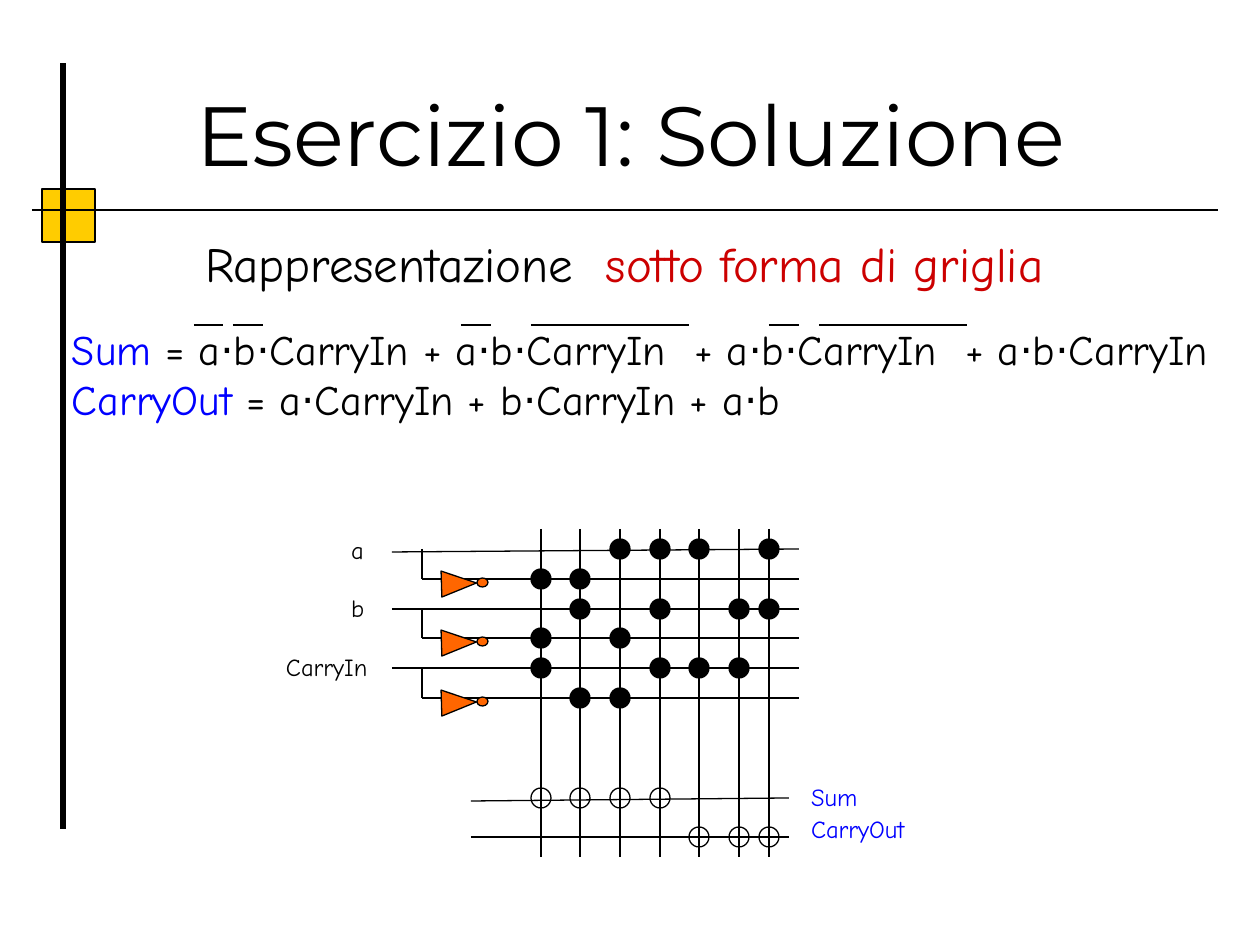
from pptx import Presentation
from pptx.dml.color import RGBColor
from pptx.enum.shapes import MSO_CONNECTOR as CONNECTOR, MSO_SHAPE as SHAPE
from pptx.enum.text import MSO_ANCHOR as ANCHOR, PP_ALIGN as ALIGN
from pptx.oxml.ns import qn
from pptx.util import Pt
from lxml.etree import SubElement

PX = 914400 / 126
BLACK = RGBColor(0x00, 0x00, 0x00)
BLUE = RGBColor(0x00, 0x00, 0xFF)
RED = RGBColor(0xCC, 0x00, 0x00)
ORANGE = RGBColor(0xFF, 0x66, 0x00)
YELLOW = RGBColor(0xFF, 0xCC, 0x00)

presentation = Presentation()
presentation.slide_width = round(1260 * PX)
presentation.slide_height = round(945 * PX)
slide = presentation.slides.add_slide(presentation.slide_layouts[6])


def add_shape(kind, box, fill=None, rotation=0):
    shape = slide.shapes.add_shape(kind, *[round(value * PX) for value in box])
    shape.shadow.inherit = False
    shape.rotation = rotation
    if fill is None:
        shape.fill.background()
    else:
        shape.fill.solid()
        shape.fill.fore_color.rgb = fill
    shape.line.color.rgb = BLACK
    shape.line.width = Pt(0.75)


def add_text(box, runs, size, font="Comic Neue", **paragraph_format):
    shape = slide.shapes.add_textbox(*[round(value * PX) for value in box])
    frame = shape.text_frame
    frame_format = {
        "word_wrap": True,
        "vertical_anchor": ANCHOR.BOTTOM if font == "Montserrat" else ANCHOR.TOP,
        "margin_left": 0, "margin_right": 0, "margin_top": 0, "margin_bottom": 0,
    }
    for name, value in frame_format.items():
        setattr(frame, name, value)
    paragraph = frame.paragraphs[0]
    for name, value in paragraph_format.items():
        setattr(paragraph, name, value)
    for text, color in runs:
        run = paragraph.add_run()
        run.text = text
        for name, value in {"name": font, "size": Pt(size)}.items():
            setattr(run.font, name, value)
        run.font.color.rgb = color


column_xs = [541, 580, 620, 660, 699, 739, 769]
row_ys = [549, 579, 609, 638, 668, 698]
inverted_ys = row_ys[1::2]
sum_y, carry_y = 798, 837
overbars = [(194, 223), (233, 263), (461, 491), (769, 799), (531, 689), (819, 967)]

lines = [
    (63, 829, 63, 63, 3),
    (32, 210, 1218, 210, 0.75),
    (392, 552, 799, row_ys[0], 0.75),
    (471, 801, 789, sum_y, 0.75),
    (471, carry_y, 789, carry_y, 0.75),
]
lines += [(392, y, 799, y, 0.75) for y in row_ys[2::2]]
lines += [(422, y, 799, y, 0.75) for y in inverted_ys]
lines += [(422, top, 422, bottom, 0.75) for top, bottom in zip(row_ys[::2], inverted_ys)]
lines += [(x, 529, x, 857, 0.75) for x in column_xs]
lines += [(start, 325, end, 325, 1.5) for start, end in overbars]

add_shape(SHAPE.RECTANGLE, (42, 189, 53, 53), YELLOW)

for *ends, width in lines:
    line = slide.shapes.add_connector(CONNECTOR.STRAIGHT, *[round(value * PX) for value in ends])
    line.line.color.rgb = BLACK
    line.line.width = Pt(width)
    SubElement(line._element.spPr, qn("a:effectLst"))

for y in inverted_ys:
    add_shape(SHAPE.FLOWCHART_MERGE, (446, y - 13, 26, 35), ORANGE, 268.2)
    add_shape(SHAPE.OVAL, (478, y - 2, 9, 11), ORANGE, 268.2)

column_rows = [(1, 3, 4), (1, 2, 5), (0, 3, 5), (0, 2, 4), (0, 4), (2, 4), (0, 2)]
for index, (x, rows) in enumerate(zip(column_xs, column_rows)):
    for row in rows:
        add_shape(SHAPE.OVAL, (x - 10, row_ys[row] - 10, 20, 20), BLACK)
    output_y = sum_y if index < 4 else carry_y
    add_shape(SHAPE.OVAL, (x - 10, output_y - 10, 20, 20))

add_text((68, 31, 1126, 152), [("Esercizio 1: Soluzione", BLACK)], 48, "Montserrat",
         alignment=ALIGN.CENTER)
add_text((205, 240, 990, 60),
         [("Rappresentazione  ", BLACK), ("sotto forma di griglia", RED)], 28, line_spacing=0.9)
add_text((72, 324, 1180, 50),
         [("Sum ", BLUE), ("= a⋅b⋅CarryIn + a⋅b⋅CarryIn  + a⋅b⋅CarryIn  + a⋅b⋅CarryIn", BLACK)], 24)
add_text((72, 374, 1180, 50),
         [("CarryOut", BLUE), (" = a⋅CarryIn + b⋅CarryIn + a⋅b", BLACK)], 24)

labels = [
    ("a", 351, 535, BLACK), ("b", 351, 593, BLACK), ("CarryIn", 286, 652, BLACK),
    ("Sum", 811, 782, BLUE), ("CarryOut", 811, 814, BLUE),
]
for label, left, top, color in labels:
    add_text((left, top, 130, 30), [(label, color)], 14)

presentation.save("out.pptx")
